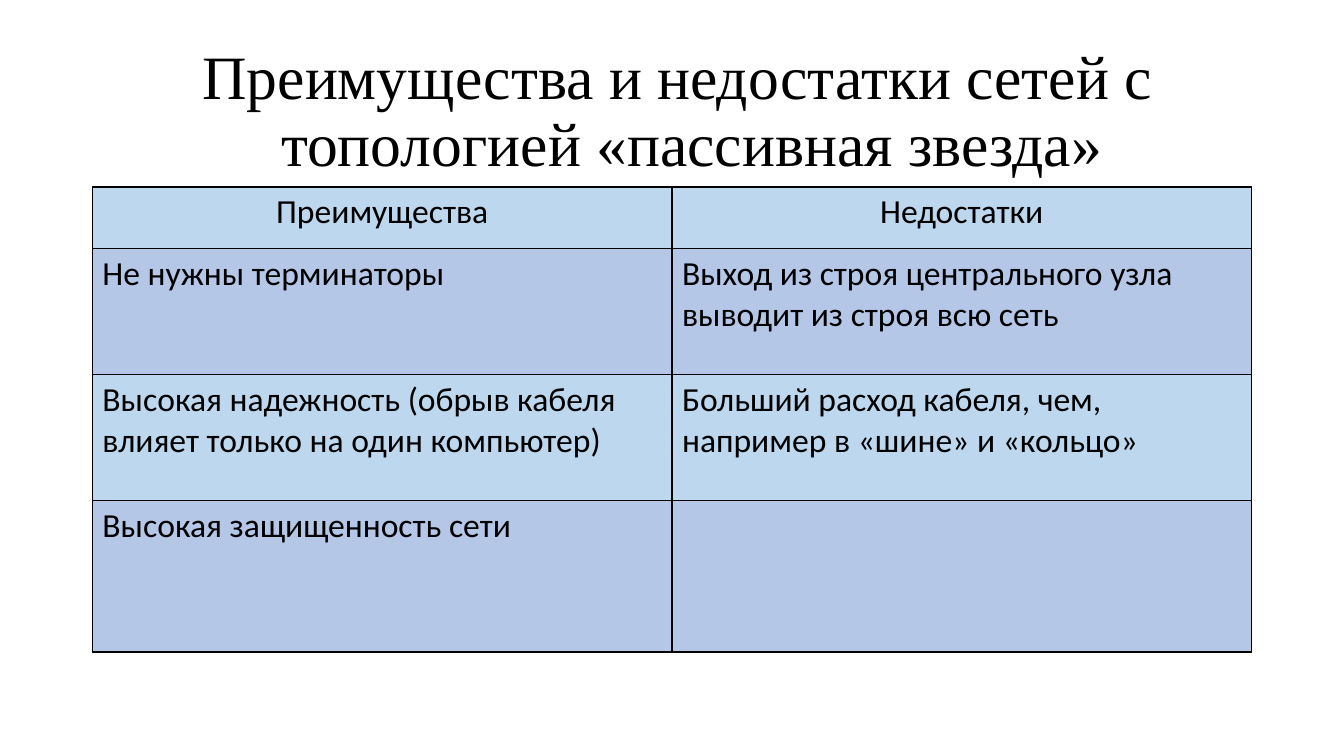
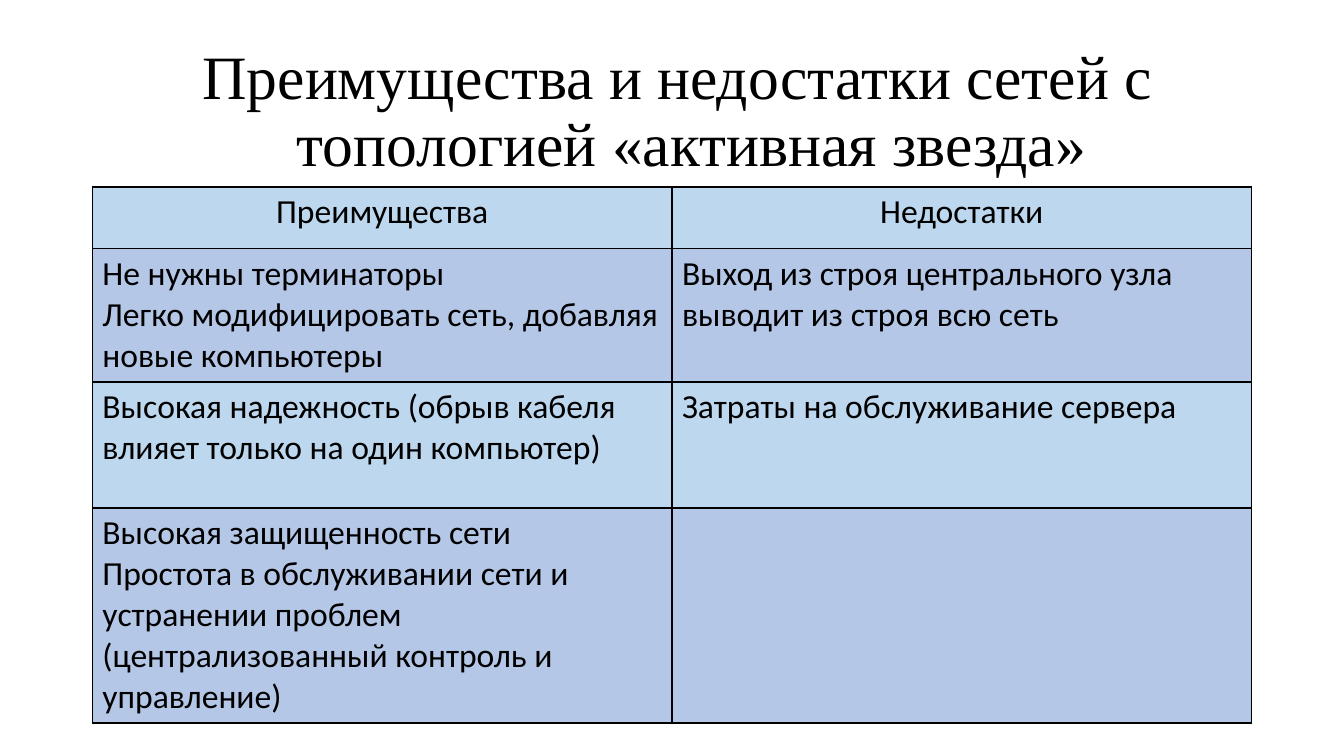
from pptx import Presentation
from pptx.dml.color import RGBColor
from pptx.enum.text import MSO_ANCHOR, MSO_AUTO_SIZE, PP_ALIGN
from pptx.oxml.ns import qn
from pptx.util import Pt
from lxml.etree import SubElement

HEADERS = ("Преимущества", "Недостатки")
NO_TERMINATORS = "Не нужны терминаторы"
CENTRAL_FAILURE = "Выход из строя центрального узла выводит из строя всю сеть"
RELIABLE = "Высокая надежность (обрыв кабеля влияет только на один компьютер)"
SECURE = "Высокая защищенность сети"

SLIDES = [
    ("Преимущества и недостатки сетей с топологией «пассивная звезда»", [
        (NO_TERMINATORS, CENTRAL_FAILURE),
        (RELIABLE, "Больший расход кабеля, чем, например в «шине» и «кольцо»"),
        (SECURE, ""),
    ]),
    ("Преимущества и недостатки сетей с топологией «активная звезда»", [
        (NO_TERMINATORS + "\nЛегко модифицировать сеть, добавляя новые компьютеры",
         CENTRAL_FAILURE),
        (RELIABLE, "Затраты на обслуживание сервера"),
        (SECURE + "\nПростота в обслуживании сети и устранении проблем "
         "(централизованный контроль и управление)", ""),
    ]),
]

BLACK = "000000"
BAND_FILLS = ("BDD7EE", "B4C7E7")
TITLE_FONT, TITLE_SIZE = "Times New Roman", 44
BODY_FONT, BODY_SIZE = "Calibri", 24
LEFT, WIDTH = 88, 1104
TITLE_TOP, TITLE_HEIGHT = 38, 139
TABLE_TOP = 178
ROW_HEIGHTS = (59, 120, 120, 144)


def px(n):
    return n * 9525


def rgb(value):
    return RGBColor.from_string(value)


def format_text(tf, font, size, align):
    for p in tf.paragraphs:
        p.alignment = align
        for r in p.runs:
            r.font.name = font
            r.font.size = Pt(size)
            r.font.bold = False
            r.font.color.rgb = rgb(BLACK)


def add_title(slide, text):
    title = slide.shapes.title
    title.left, title.top = px(LEFT), px(TITLE_TOP)
    title.width, title.height = px(WIDTH), px(TITLE_HEIGHT)
    tf = title.text_frame
    tf.text = text
    tf.word_wrap = True
    tf.auto_size = MSO_AUTO_SIZE.NONE
    tf.vertical_anchor = MSO_ANCHOR.MIDDLE
    format_text(tf, TITLE_FONT, TITLE_SIZE, PP_ALIGN.CENTER)
    p = tf.paragraphs[0]
    p.line_spacing = 0.9
    pPr = p._p.get_or_add_pPr()
    pPr.set("marL", str(px(38)))
    pPr.set("indent", str(px(-27)))


def add_borders(cell):
    tcPr = cell._tc.get_or_add_tcPr()
    for side in ("lnL", "lnR", "lnT", "lnB"):
        ln = SubElement(tcPr, qn(f"a:{side}"), w=str(Pt(1)))
        fill = SubElement(ln, qn("a:solidFill"))
        SubElement(fill, qn("a:srgbClr"), val=BLACK)


def add_comparison(slide, rows):
    frame = slide.shapes.add_table(len(rows), len(HEADERS), px(LEFT), px(TABLE_TOP),
                                   px(WIDTH), px(sum(ROW_HEIGHTS)))
    table = frame.table
    table.first_row = False
    table.horz_banding = False
    for i, (texts, height) in enumerate(zip(rows, ROW_HEIGHTS)):
        table.rows[i].height = px(height)
        align = PP_ALIGN.LEFT if i else PP_ALIGN.CENTER
        for j, text in enumerate(texts):
            cell = table.cell(i, j)
            cell.text_frame.text = text
            format_text(cell.text_frame, BODY_FONT, BODY_SIZE, align)
            add_borders(cell)
            cell.fill.solid()
            cell.fill.fore_color.rgb = rgb(BAND_FILLS[i % 2])


def main():
    prs = Presentation()
    prs.slide_width, prs.slide_height = px(1280), px(720)
    for title, rows in SLIDES:
        s = prs.slides.add_slide(prs.slide_layouts[5])
        add_title(s, title)
        add_comparison(s, [HEADERS] + rows)
    prs.save("out.pptx")


if __name__ == "__main__":
    main()
